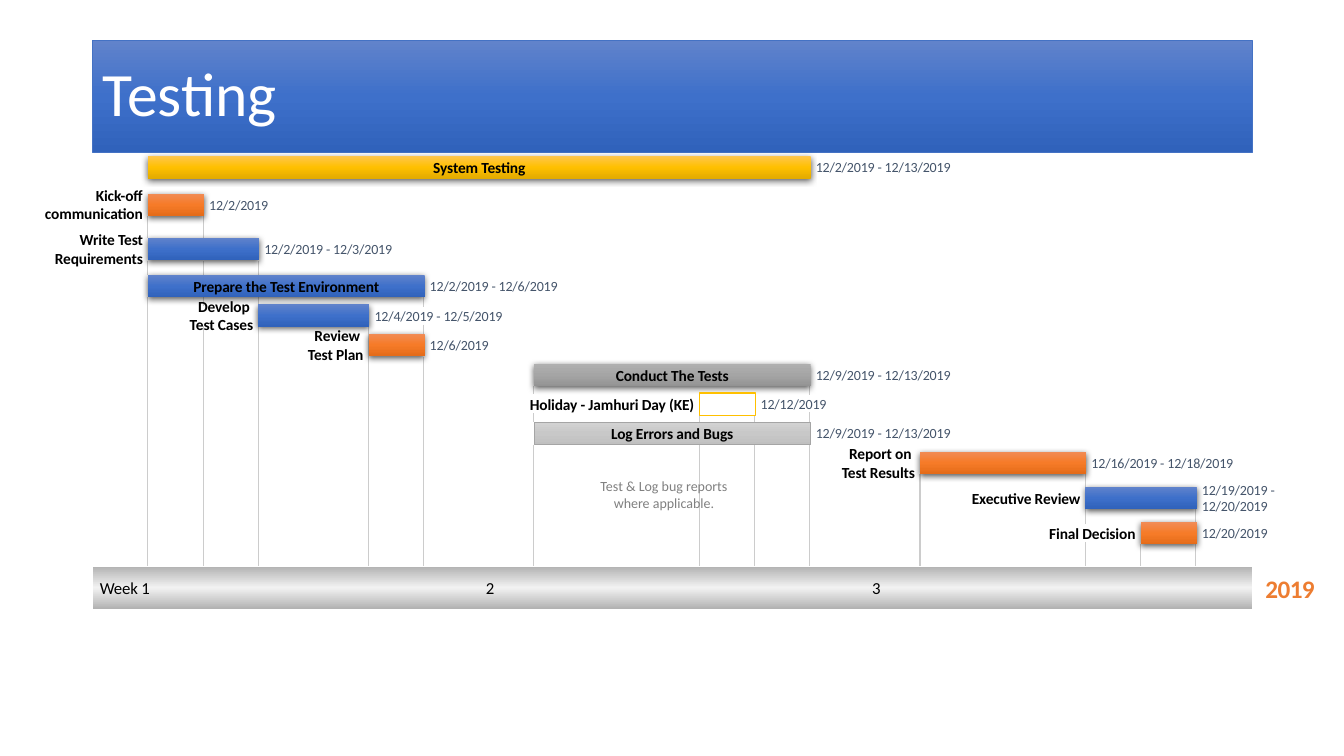
"""Build the testing timeline slide."""
from dataclasses import dataclass

import pptx
import pptx.dml.color
import pptx.enum.shapes
import pptx.enum.text
import pptx.oxml
import pptx.oxml.ns
import pptx.util

ALIGN = pptx.enum.text.PP_ALIGN
ANCHOR = pptx.enum.text.MSO_ANCHOR
KINDS = pptx.enum.shapes


@dataclass
class Theme:
    """Colours, type sizes and gradients of the slide."""
    font: str = "Calibri"
    white: str = "FFFFFF"
    black: str = "000000"
    date: str = "44546A"
    note: str = "808080"
    year: str = "ED7D31"
    guide: str = "CCCCCC"
    edge: str = "4472C4"
    gold_edge: str = "FFC000"
    gray_edge: str = "A5A5A5"
    blue: tuple = ("6183CB", "3E70CA", "3062BB")
    orange: tuple = ("F18C57", "F67B28", "E56C19")
    gold: tuple = ("FFC64B", "FFC000", "E3AB00")
    gray: tuple = ("AFAFAF", "A5A5A5", "939393")
    pale: tuple = ("D2D2D2", "C8C8C8", "C0C0C0")
    scale: tuple = ("B2B2B2", "F2F2F2", "B2B2B2")
    blank: tuple = ("FFFFFF",)
    title_size: int = 44
    year_size: int = 18
    week_size: int = 12
    label_size: int = 11
    small_size: int = 10


def cm(inch):
    """Turn inches into a Cm length."""
    return pptx.util.Cm(inch * 2.54)


def rgb(code):
    """Turn a hex code into a colour."""
    return pptx.dml.color.RGBColor.from_string(code)


def day_x(day):
    """Return the left edge of a day in December."""
    return 0.92 + 0.547 * (day - 1)


class Chart:
    """Draw timeline parts on one slide in one theme."""

    def __init__(self, slide, theme):
        self.slide = slide
        self.theme = theme

    def box(self, x, y, wide, high, tones, edge=None, thick=0.5, shade=False):
        """Add a rectangle with a plain or gradient fill."""
        shape = self.slide.shapes.add_shape(
            KINDS.MSO_SHAPE.RECTANGLE, cm(x), cm(y), cm(wide), cm(high))
        shape.shadow.inherit = False
        if edge:
            shape.line.color.rgb = rgb(edge)
            shape.line.width = pptx.util.Pt(thick)
        else:
            shape.line.fill.background()
        space = pptx.oxml.ns.nsdecls("a")
        props = shape._element.spPr
        if len(tones) == 1:
            shape.fill.solid()
            shape.fill.fore_color.rgb = rgb(tones[0])
        else:
            stops = "".join(
                f'<a:gs pos="{i * 50000}"><a:srgbClr val="{tone}"/></a:gs>'
                for i, tone in enumerate(tones))
            props.insert(2, pptx.oxml.parse_xml(
                f'<a:gradFill {space} rotWithShape="1"><a:gsLst>{stops}</a:gsLst>'
                '<a:lin ang="5400000" scaled="0"/></a:gradFill>'))
        if shade:
            props.find(pptx.oxml.ns.qn("a:effectLst")).append(pptx.oxml.parse_xml(
                f'<a:outerShdw {space} blurRad="57150" dist="19050" dir="5400000" '
                'algn="ctr" rotWithShape="0"><a:srgbClr val="000000">'
                '<a:alpha val="63000"/></a:srgbClr></a:outerShdw>'))
        return shape

    def words(self, frame, text, size, tone, bold=False, align=ALIGN.LEFT, tight=-10):
        """Fill a text frame, one paragraph per line."""
        for i, line in enumerate(text.split("\n")):
            para = frame.add_paragraph() if i else frame.paragraphs[0]
            para.alignment = align
            run = para.add_run()
            run.text = line
            run.font.name = self.theme.font
            run.font.size = pptx.util.Pt(size)
            run.font.bold = bold
            run.font.color.rgb = rgb(tone)
            run._r.get_or_add_rPr().set("spc", str(tight))

    def text(self, x, y, wide, high, text, size, tone, wrap=True, inset=False, **look):
        """Add a text box."""
        frame = self.slide.shapes.add_textbox(
            cm(x), cm(y), cm(wide), cm(high)).text_frame
        frame.word_wrap = wrap
        if not inset:
            frame.vertical_anchor = ANCHOR.MIDDLE
            frame.margin_left = frame.margin_right = 0
            frame.margin_top = frame.margin_bottom = 0
        self.words(frame, text, size, tone, **look)

    def guide(self, x, top, end):
        """Add a thin upright line."""
        line = self.slide.shapes.add_connector(
            KINDS.MSO_CONNECTOR.STRAIGHT, cm(x), cm(top), cm(x), cm(end))
        line.line.color.rgb = rgb(self.theme.guide)
        line.line.width = pptx.util.Pt(0.75)
        line._element.spPr.append(pptx.oxml.parse_xml(
            f'<a:effectLst {pptx.oxml.ns.nsdecls("a")}/>'))

    def task(self, first, last, y, label, wide, rows, tones, inner=False, edge=None, thick=0.5):
        """Add a bar with its label and its dates."""
        look = self.theme
        left, right = day_x(first), day_x(last + 1) + 0.01
        mid = y + 0.11
        self.box(left, y, right - left, 0.22, tones, edge, thick, shade=not edge)
        x = (left + right - wide) / 2 if inner else left - 0.05 - wide
        high = 0.185 * rows
        self.text(x, mid - high / 2, wide, high, label, look.label_size, look.black,
                  bold=True, align=ALIGN.CENTER if inner else ALIGN.RIGHT)
        dates = " - ".join(f"12/{day}/2019" for day in sorted({first, last}))
        span = 0.07 * len(dates) - (0.02 if first == last else 0.15)
        room = 12.7 - right - 0.05
        high = 0.34 if span > room else 0.17
        self.text(right + 0.05, mid - high / 2, min(span, room), high, dates,
                  look.small_size, look.date)


GUIDES = {
    20: [(5.4, 5.62)],
    21: [(5.4, 5.62), (5.05, 5.18)],
    19: [(5.38, 5.62), (4.7, 5.2)],
    16: [(4.7, 5.62)],
    13: [(4.48, 5.62), (4.41, 4.5), (4.12, 4.19)],
    12: [(4.39, 5.62), (4.12, 4.19)],
    14: [(4.48, 5.62), (4.41, 4.5), (4.09, 4.19), (3.83, 3.92)],
    9: [(4.41, 5.62), (4.1, 4.19), (3.83, 3.91)],
    6: [(3.24, 5.62)],
    7: [(3.54, 5.62), (3.22, 3.31), (2.95, 3.05)],
    4: [(3.31, 5.62), (2.93, 3.33), (2.59, 2.73)],
    3: [(3.23, 5.62), (2.93, 3.04), (2.59, 2.73), (2.14, 2.36)],
    2: [(3.02, 5.62), (2.95, 3.04), (2.59, 2.73), (2.14, 2.36)],
}


def main():
    """Build and save the slide."""
    deck = pptx.Presentation()
    deck.slide_width, deck.slide_height = cm(13.33), cm(7.5)
    look = Theme()
    chart = Chart(deck.slides.add_slide(deck.slide_layouts[6]), look)

    frame = chart.box(0.92, 0.4, 11.5, 1.11, look.blue, look.edge).text_frame
    frame.vertical_anchor = ANCHOR.MIDDLE
    chart.words(frame, "Testing", look.title_size, look.white, tight=0)
    frame.paragraphs[0].line_spacing = 0.9

    for day, parts in GUIDES.items():
        for top, end in parts:
            chart.guide(day_x(day), top, end)

    chart.text(5.85, 4.69, 1.47, 0.61, "Test & Log bug reports where applicable.",
               look.small_size, look.note, inset=True, align=ALIGN.CENTER, tight=0)
    chart.text(12.55, 5.68, 0.49, 0.31, "2019", look.year_size, look.year,
               wrap=False, bold=True, align=ALIGN.CENTER, tight=-40)
    chart.box(0.92, 5.62, 11.5, 0.42, look.scale)
    for i, (week, wide) in enumerate([("Week 1", 0.51), ("2", 0.08), ("3", 0.08)]):
        chart.text(0.99 + 3.83 * i, 5.73, wide, 0.2, week, look.week_size,
                   look.black, wrap=False)

    tasks = [
        (2, 13, 1.55, "System Testing", 0.93, 1, look.gold, True),
        (2, 2, 1.92, "Kick-off communication", 0.99, 2, look.orange),
        (2, 3, 2.36, "Write Test Requirements", 0.89, 2, look.blue),
        (2, 6, 2.73, "Prepare the Test Environment", 1.89, 1, look.blue, True),
        (4, 5, 3.02, "Develop \nTest Cases", 0.78, 2, look.blue),
        (6, 6, 3.31, "Review \nTest Plan", 0.58, 2, look.orange),
        (9, 13, 3.61, "Conduct The Tests", 1.15, 1, look.gray, True),
        (12, 12, 3.9, "Holiday - Jamhuri Day (KE)", 1.67, 1, look.blank, False,
         look.gold_edge, 1),
        (9, 13, 4.19, "Log Errors and Bugs", 1.25, 1, look.pale, True, look.gray_edge),
        (16, 18, 4.48, "Report on \nTest Results", 0.85, 2, look.orange),
        (19, 20, 4.83, "Executive Review", 1.1, 1, look.blue),
        (20, 20, 5.18, "Final Decision", 0.88, 1, look.orange),
    ]
    for task in tasks:
        chart.task(*task)
    deck.save("out.pptx")


if __name__ == "__main__":
    main()
